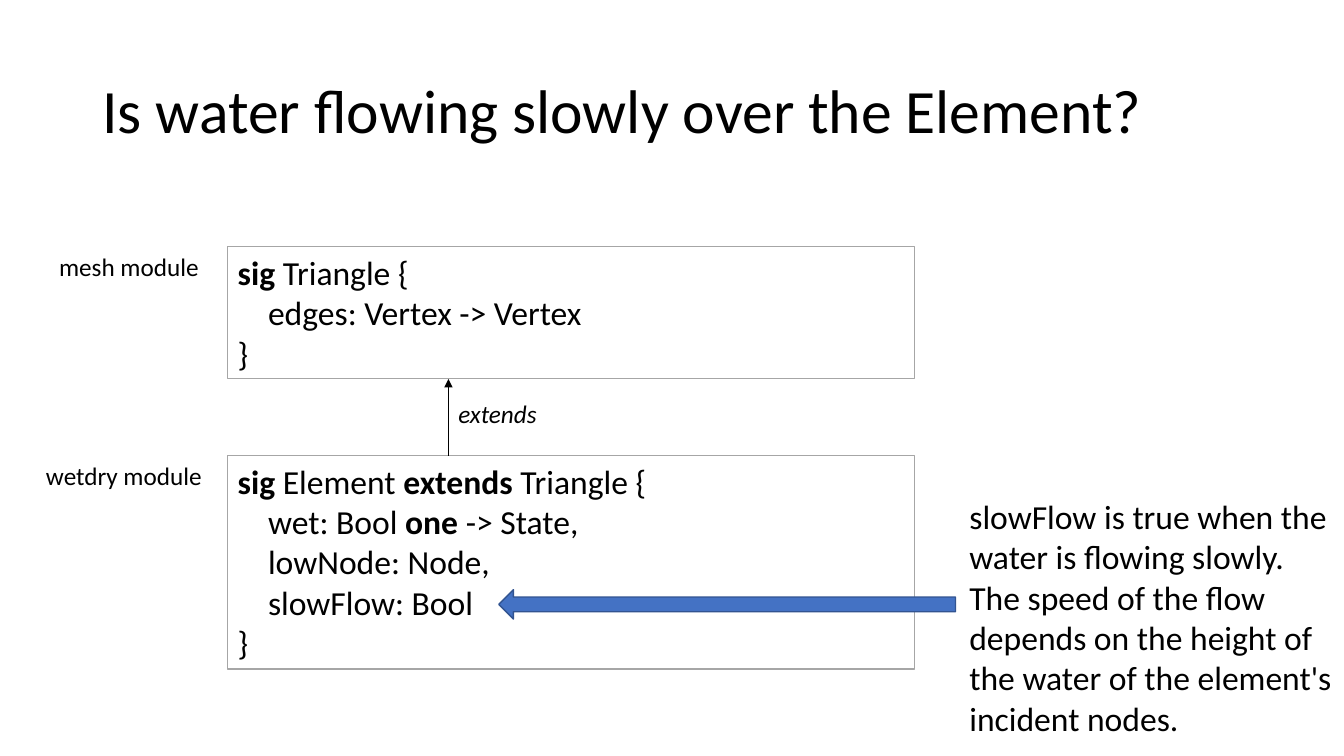
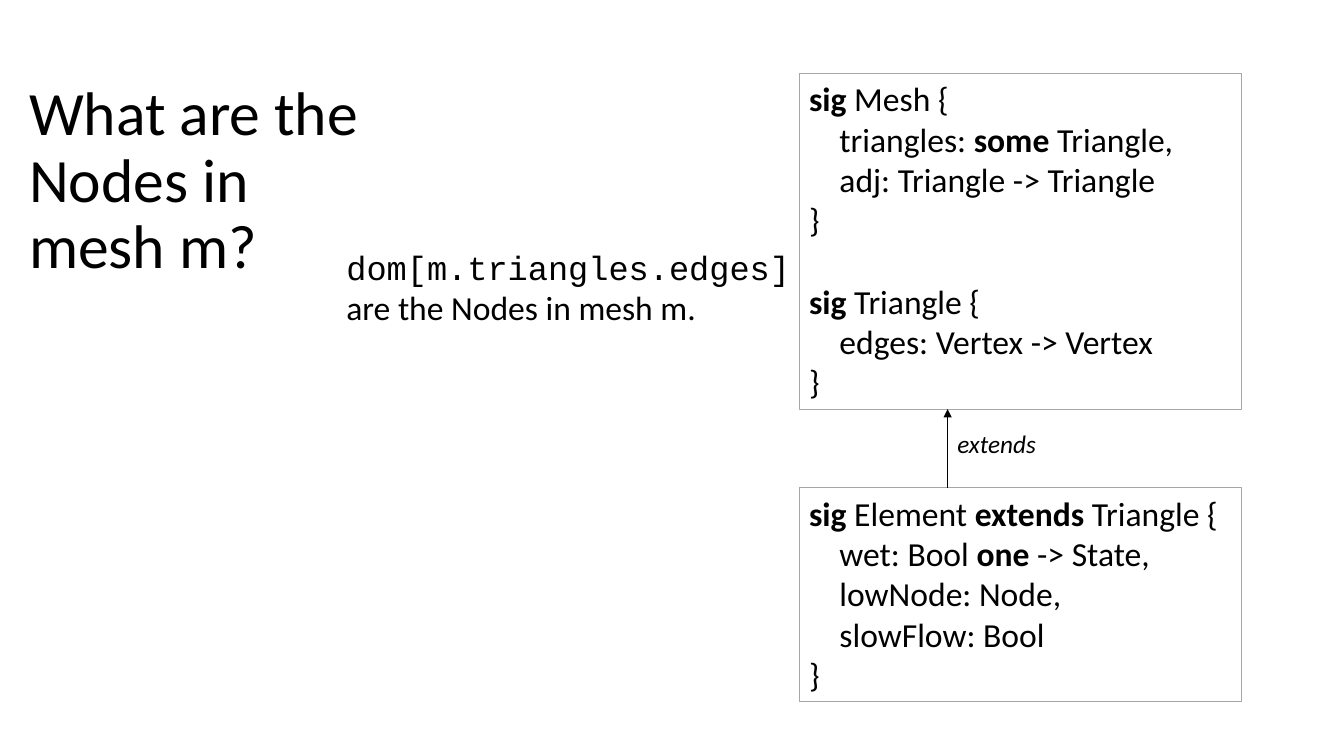
from lxml.etree import SubElement
from pptx import Presentation
from pptx.dml.color import RGBColor
from pptx.enum.shapes import MSO_CONNECTOR, MSO_SHAPE
from pptx.enum.text import MSO_ANCHOR, MSO_AUTO_SIZE, PP_ALIGN
from pptx.oxml.ns import qn
from pptx.util import Cm, Pt

BLACK, BORDER, BLUE, DARK_BLUE = "000000", "A6A6A6", "4472C4", "325491"
FONT, CODE_FONT = "Calibri", "Courier New"
TITLE_SIZE, BODY_SIZE, LABEL_SIZE = 44, 24, 18
LABEL_HEIGHT = 1.03
BLANK_LINE = 29.3  # points, one line of body text

TRIANGLE = ["*sig* Triangle {", "    edges: Vertex -> Vertex", "}"]
MESH = ["*sig* Mesh {", "    triangles: *some* Triangle,",
        "    adj: Triangle -> Triangle", "}"]
ELEMENT = ["*sig* Element *extends* Triangle {", "    wet: Bool *one* -> State,",
           "    lowNode: Node,", "    slowFlow: Bool", "}"]


def rgb(hex_colour):
    return RGBColor.from_string(hex_colour)


def cm_box(box):
    return [Cm(length) for length in box]


def style(font, size, name=FONT):
    font.name, font.size, font.color.rgb = name, Pt(size), rgb(BLACK)


def add_titled_slide(prs, title, box):
    slide = prs.slides.add_slide(prs.slide_layouts[5])
    heading = slide.shapes.title
    heading.left, heading.top, heading.width, heading.height = cm_box(box)
    frame = heading.text_frame
    frame.text = title
    frame.auto_size = MSO_AUTO_SIZE.NONE
    frame.vertical_anchor = MSO_ANCHOR.MIDDLE
    paragraph = frame.paragraphs[0]
    paragraph.alignment, paragraph.line_spacing = PP_ALIGN.LEFT, 0.9
    style(paragraph.runs[0].font, TITLE_SIZE)
    return slide


def add_text(slide, text, box, size=BODY_SIZE, wrap=True):
    frame = slide.shapes.add_textbox(*cm_box(box)).text_frame
    frame.word_wrap = wrap
    frame.auto_size = MSO_AUTO_SIZE.SHAPE_TO_FIT_TEXT
    frame.text = text
    paragraph = frame.paragraphs[0]
    style(paragraph.runs[0].font, size)
    return paragraph


def add_label(slide, text, left, top, width):
    box = (left, top, width, LABEL_HEIGHT)
    return add_text(slide, text, box, LABEL_SIZE, wrap=False)


def add_block(slide, shape_type, box, line_colour, line_width):
    block = slide.shapes.add_shape(shape_type, *cm_box(box))
    block.shadow.inherit = False
    block.line.color.rgb, block.line.width = rgb(line_colour), Pt(line_width)
    return block


def add_code(slide, box, *signatures):
    """Frame the signatures; words between asterisks are bold keywords."""
    block = add_block(slide, MSO_SHAPE.RECTANGLE, box, BORDER, 0.75)
    block.fill.background()
    frame = block.text_frame
    frame.word_wrap = True
    frame.vertical_anchor = MSO_ANCHOR.TOP
    lines = [(line, number > 0 and line == signature[0])
             for number, signature in enumerate(signatures) for line in signature]
    for index, (line, starts_next) in enumerate(lines):
        paragraph = frame.add_paragraph() if index else frame.paragraphs[0]
        paragraph.alignment = PP_ALIGN.LEFT
        if starts_next:
            paragraph.space_before = Pt(BLANK_LINE)
        for position, piece in enumerate(line.split("*")):
            if piece:
                run = paragraph.add_run()
                run.text = piece
                style(run.font, BODY_SIZE)
                run.font.bold = position % 2 == 1


def add_extends(slide, x, child_top, parent_bottom):
    arrow = slide.shapes.add_connector(
        MSO_CONNECTOR.STRAIGHT, Cm(x), Cm(child_top), Cm(x), Cm(parent_bottom))
    arrow.line.color.rgb, arrow.line.width = rgb(BLACK), Pt(0.5)
    SubElement(arrow.line._get_or_add_ln(), qn("a:tailEnd"), type="triangle")
    SubElement(arrow._element.spPr, qn("a:effectLst"))
    label = add_label(slide, "extends", x, parent_bottom + 0.36, 2.57)
    label.runs[0].font.italic = True


def add_inheritance(slide, left, width, parent, child, arrow_offset):
    """Stack a parent over its child; each is (top, height, signatures)."""
    for top, height, signatures in (parent, child):
        add_code(slide, (left, top, width, height), *signatures)
    add_extends(slide, left + arrow_offset, child[0], parent[0] + parent[1])


def build_slow_flow(prs):
    slide = add_titled_slide(prs, "Is water flowing slowly over the Element?",
                             (2.33, 1.01, 29.21, 3.68))
    mesh_top, wetdry_top = 6.22, 11.48
    add_inheritance(slide, 5.74, 17.3, (mesh_top, 3.33, [TRIANGLE]),
                    (wetdry_top, 5.38, [ELEMENT]), 5.56)
    add_label(slide, "mesh module", 1.24, mesh_top, 4.06)
    add_label(slide, "wetdry module", 0.91, wetdry_top, 4.5)
    pointer = add_block(slide, MSO_SHAPE.LEFT_ARROW,
                        (12.57, 14.86, 11.51, 0.74), DARK_BLUE, 1)
    pointer.fill.solid()
    pointer.fill.fore_color.rgb = rgb(BLUE)
    add_text(slide, "slowFlow is true when the water is flowing slowly. "
             "The speed of the flow depends on the height of the water of "
             "the element's incident nodes.", (24.18, 12.37, 9.69, 6.4))


def build_mesh_nodes(prs):
    slide = add_titled_slide(prs, "What are the Nodes in mesh m?",
                             (0.48, 1.01, 9.63, 7.17))
    add_inheritance(slide, 20.14, 11.15, (1.85, 8.46, [MESH, TRIANGLE]),
                    (12.29, 5.38, [ELEMENT]), 3.74)
    answer = add_text(slide, "dom[m.triangles.edges]", (8.48, 6.1, 12.07, 2.31))
    answer.runs[0].font.name = CODE_FONT
    meaning = answer.add_run()
    meaning.text = " are the Nodes in mesh m."
    style(meaning.font, BODY_SIZE)


def main():
    prs = Presentation()
    prs.slide_width, prs.slide_height = Cm(33.87), Cm(19.05)
    build_slow_flow(prs)
    build_mesh_nodes(prs)
    prs.save("out.pptx")


if __name__ == "__main__":
    main()
